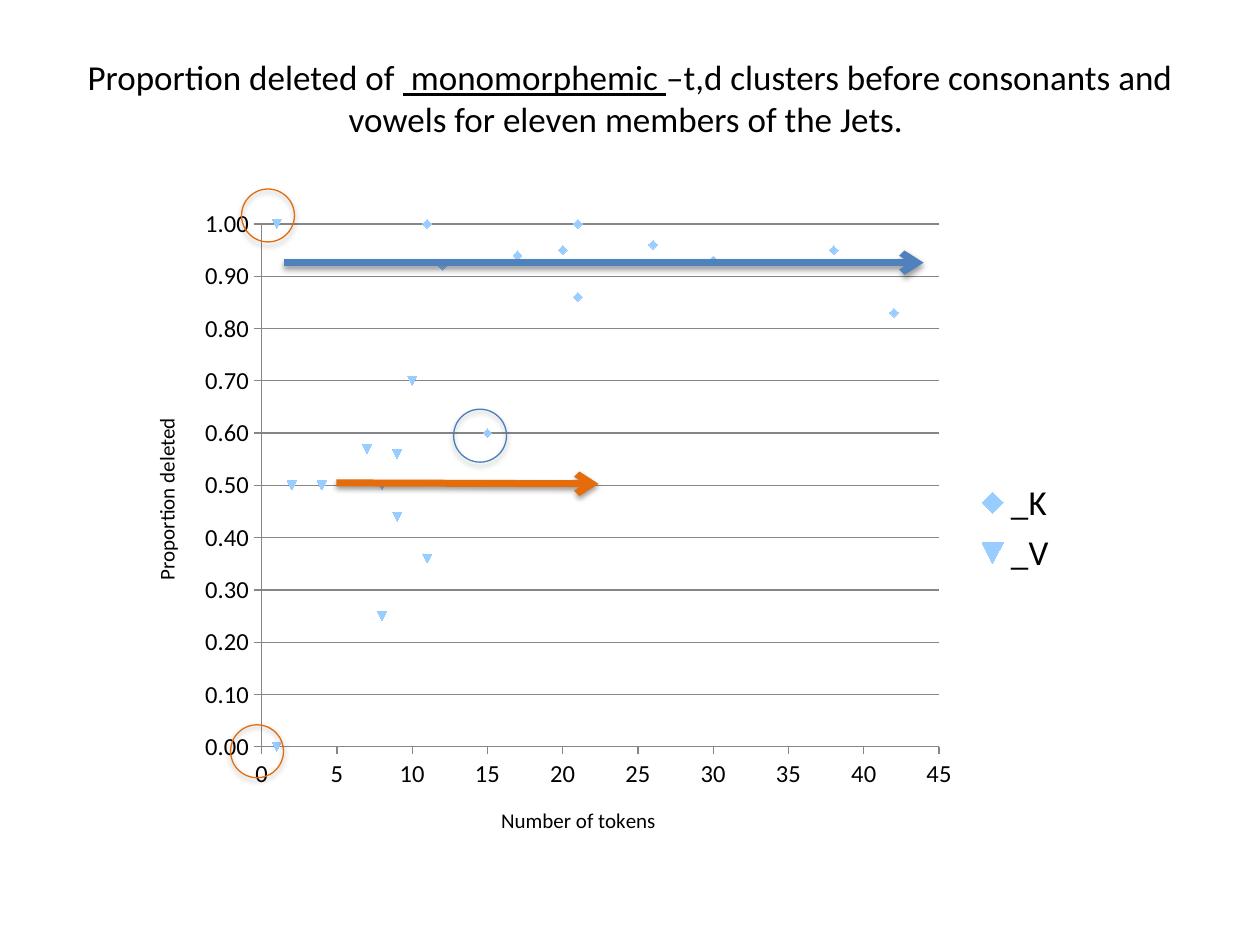
from lxml.etree import SubElement
from pptx import Presentation
from pptx.chart.data import XyChartData
from pptx.dml.color import RGBColor
from pptx.enum.chart import XL_CHART_TYPE, XL_LEGEND_POSITION, XL_TICK_MARK
from pptx.enum.shapes import MSO_CONNECTOR, MSO_SHAPE
from pptx.enum.text import MSO_ANCHOR, PP_ALIGN
from pptx.oxml import parse_xml
from pptx.oxml.ns import nsdecls, qn
from pptx.util import Inches, Pt

WIDE, HIGH = Inches(10), Inches(7.5)
FONT = "Calibri"
BLUE, ORANGE, PALE, GREY = "4F81BD", "E46C0A", "99CCFF", "868686"

# Both series share the token counts; the first eleven rows belong to _K
TOKENS = [20, 26, 21, 38, 42, 30, 17, 15, 21, 11, 12,
          10, 9, 9, 8, 11, 8, 7, 1, 4, 1, 2]
BLANK = [None] * 11
DATA = {
    "_K": [0.95, 0.96, 0.86, 0.95, 0.83, 0.93, 0.94, 0.6, 1, 1, 0.92] + BLANK,
    "_V": BLANK + [0.7, 0.56, 0.44, 0.25, 0.36, 0.5, 0.57, 1, 0.5, 0, 0.5],
}


def color(code):
    return RGBColor.from_string(code)


def spot(x, y):
    """Turn percentages of the slide into lengths."""
    return int(WIDE * x / 100), int(HIGH * y / 100)


def style(font, size, code="000000", under=False):
    font.name, font.size, font.bold = FONT, Pt(size), False
    font.underline = under
    font.color.rgb = color(code)


def text(frame, parts, size=20, align=None, under=()):
    """Write the parts as runs; under holds the indexes to underline."""
    para = frame.paragraphs[0]
    para.alignment = align
    for i, part in enumerate(parts):
        run = para.add_run()
        run.text = part
        style(run.font, size, under=i in under)


def shade(shape, alpha, dist):
    """Give a shape a soft shadow straight below it."""
    props = shape._element.spPr
    for old in props.findall(qn("a:effectLst")):
        props.remove(old)
    glow = SubElement(SubElement(props, qn("a:effectLst")), qn("a:outerShdw"),
                      blurRad=str(Pt(3.1)), dist=str(Pt(dist)),
                      dir="5400000", rotWithShape="0")
    tint = SubElement(glow, qn("a:srgbClr"), val="000000")
    SubElement(tint, qn("a:alpha"), val=str(alpha * 1000))


def arrow(slide, start, end, code):
    line = slide.shapes.add_connector(MSO_CONNECTOR.STRAIGHT, *spot(*start), *spot(*end))
    line.line.color.rgb = color(code)
    line.line.width = Pt(4)
    SubElement(line._element.spPr.find(qn("a:ln")), qn("a:tailEnd"), type="arrow")
    shade(line, 38, 1.6)


def ring(slide, x, y, code):
    size = Inches(0.42)
    oval = slide.shapes.add_shape(MSO_SHAPE.OVAL, *spot(x, y), size, size)
    oval.fill.background()
    oval.line.color.rgb = color(code)
    oval.line.width = Pt(0.75)
    shade(oval, 35, 1.8)


def place(node, x, y, size=None):
    """Fix a chart part at percentages of the chart area."""
    rows = [("xMode", "edge"), ("yMode", "edge"), ("x", x / 100), ("y", y / 100)]
    if size:
        rows = [("layoutTarget", "inner"), *rows]
        rows += [(tag, val / 100) for tag, val in zip("wh", size)]
    body = "".join(f'<c:{tag} val="{val}"/>' for tag, val in rows)
    for old in node.findall(qn("c:layout")):
        node.remove(old)
    new = parse_xml(f'<c:layout {nsdecls("c")}><c:manualLayout>{body}'
                    "</c:manualLayout></c:layout>")
    lead = node.find(qn("c:tx"))
    if lead is None:
        lead = node.find(qn("c:legendPos"))
    if lead is None:
        node.insert(0, new)
    else:
        lead.addnext(new)


def setup(axis, name, top, step, form, x, y):
    axis.minimum_scale, axis.maximum_scale, axis.major_unit = 0, top, step
    axis.major_tick_mark = XL_TICK_MARK.OUTSIDE
    axis.minor_tick_mark = XL_TICK_MARK.NONE
    axis.tick_labels.number_format = form
    axis.tick_labels.number_format_is_linked = False
    style(axis.tick_labels.font, 14)
    axis.format.line.color.rgb = color(GREY)
    text(axis.axis_title.text_frame, [name], size=12)
    place(axis.axis_title._element, x, y)


def plot(slide):
    data = XyChartData()
    for name, shares in DATA.items():
        row = data.add_series(name)
        for x, y in zip(TOKENS, shares):
            row.add_data_point(x, y)
    chart = slide.shapes.add_chart(XL_CHART_TYPE.XY_SCATTER, *spot(10, 20.67),
                                   Inches(7.5), Inches(5.28), data).chart
    chart.has_title = False
    style(chart.font, 10)

    # Axes and plot area
    setup(chart.category_axis, "Number of tokens", 45, 5, "General", 39.3, 91.2)
    setup(chart.value_axis, "Proportion deleted", 1, 0.1, "0.00", 2.4, 32.9)
    chart.category_axis.has_major_gridlines = False
    chart.value_axis.has_major_gridlines = True
    chart.value_axis.major_gridlines.format.line.color.rgb = color(GREY)
    place(chart._chartSpace.chart.plotArea, 14.35, 4.3, (71.7, 78.6))

    # Markers keep the automatic symbol of their series
    chart.plots[0].vary_by_categories = False
    for row in chart.plots[0].series:
        row.smooth = False
        row.format.line.fill.background()
        row.marker.format.fill.solid()
        row.marker.format.fill.fore_color.rgb = color(PALE)
        row.marker.format.line.fill.background()

    # Legend
    chart.has_legend = True
    chart.legend.position = XL_LEGEND_POSITION.RIGHT
    chart.legend.include_in_layout = False
    style(chart.legend.font, 20)
    place(chart.legend._element, 89.4, 41.9)


def title(slide):
    box = slide.shapes.add_textbox(*spot(5, 4), Inches(9), Inches(0.95))
    frame = box.text_frame
    frame.word_wrap = True
    frame.vertical_anchor = MSO_ANCHOR.MIDDLE
    text(frame, ["Proportion deleted of ", " monomorphemic ",
                 "–t,d clusters before consonants and vowels for eleven "
                 "members of the Jets. "], align=PP_ALIGN.CENTER, under=(1,))


def main():
    deck = Presentation()
    deck.slide_width, deck.slide_height = WIDE, HIGH
    slide = deck.slides.add_slide(deck.slide_layouts[6])
    title(slide)
    plot(slide)

    # Trend of each series
    arrow(slide, (22.5, 27.8), (73.3, 27.8), BLUE)
    arrow(slide, (26.7, 51.1), (47.5, 51.2), ORANGE)

    # Outliers
    ring(slide, 36, 43.3, "4B7EBC")
    ring(slide, 18.3, 76.7, ORANGE)
    ring(slide, 19.17, 20, ORANGE)
    deck.save("out.pptx")


if __name__ == "__main__":
    main()
